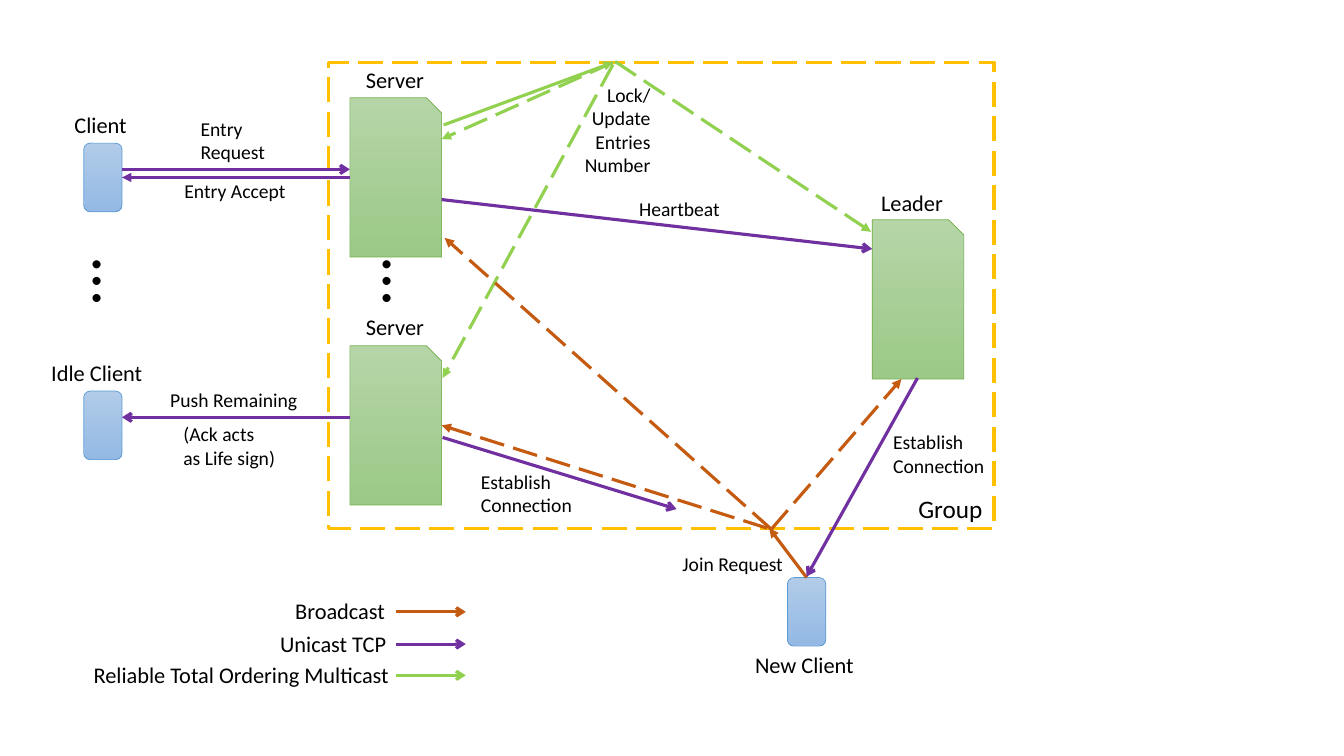
import pptx
import pptx.util
import pptx.dml.color
import pptx.enum.dml
import pptx.enum.shapes
import pptx.enum.text
import pptx.oxml

Inches = pptx.util.Inches
Pt = pptx.util.Pt
SHAPE = pptx.enum.shapes.MSO_SHAPE
ALIGN = pptx.enum.text.PP_ALIGN
LONG_DASH = pptx.enum.dml.MSO_LINE.LONG_DASH
A_NS = 'xmlns:a="http://schemas.openxmlformats.org/drawingml/2006/main"'

BROADCAST, UNICAST, MULTICAST = "C55A11", "7030A0", "92D050"


def rgb(value):
    return pptx.dml.color.RGBColor.from_string(value)


def add_label(text, left, top, width, height, size=14, align=ALIGN.LEFT, wrap=True, rotation=0):
    label = slide.shapes.add_textbox(Inches(left), Inches(top), Inches(width), Inches(height))
    label.rotation = rotation
    frame = label.text_frame
    frame.word_wrap = wrap
    frame.auto_size = pptx.enum.text.MSO_AUTO_SIZE.SHAPE_TO_FIT_TEXT
    frame.text = text
    for paragraph in frame.paragraphs:
        paragraph.alignment = align
        for run in paragraph.runs:
            run.font.name = "Calibri"
            run.font.size = Pt(size)
            run.font.color.rgb = rgb("000000")


presentation = pptx.Presentation()
presentation.slide_width = Inches(13.33)
presentation.slide_height = Inches(7.5)
slide = presentation.slides.add_slide(presentation.slide_layouts[6])

# Clients, servers and leader
client_style = (SHAPE.ROUNDED_RECTANGLE, 0.38, 0.68, "B1CBE9", "93B9E4", "5B9BD5")
server_style = (SHAPE.SNIP_1_RECTANGLE, 0.91, 1.58, "B5D5A7", "9CC987", "70AD47")
nodes = [
    (client_style, 0.83, 1.42), (client_style, 0.83, 3.88), (client_style, 7.81, 5.73),
    (server_style, 3.47, 0.97), (server_style, 3.47, 3.43), (server_style, 8.65, 2.18),
]
for (outline, width, height, top_color, bottom_color, edge), left, top in nodes:
    node = slide.shapes.add_shape(outline, Inches(left), Inches(top), Inches(width), Inches(height))
    node.shadow.inherit = False
    node.fill.gradient()
    node.fill.gradient_angle = 270
    for stop, color in zip(node.fill.gradient_stops, (top_color, bottom_color)):
        stop.color.rgb = rgb(color)
    node.line.color.rgb = rgb(edge)
    node.line.width = Pt(0.5)

# Group frame
group_frame = slide.shapes.add_shape(SHAPE.RECTANGLE, Inches(3.26), Inches(0.62), Inches(6.6), Inches(4.62))
group_frame.shadow.inherit = False
group_frame.fill.background()
group_frame.line.color.rgb = rgb("FFC000")
group_frame.line.width = Pt(2.25)
group_frame.line.dash_style = LONG_DASH

# Messages: start, end, colour, arrowhead, dashed
messages = [
    ((1.21, 1.68), (3.47, 1.68), UNICAST, "arrow", False),
    ((3.47, 1.76), (1.21, 1.76), UNICAST, "triangle", False),
    ((3.47, 4.14), (1.21, 4.14), UNICAST, "arrow", False),
    ((4.40, 1.24), (6.08, 0.62), MULTICAST, "triangle", False),
    ((6.08, 0.64), (4.39, 3.75), MULTICAST, "triangle", True),
    ((6.10, 0.61), (8.64, 2.30), MULTICAST, "triangle", True),
    ((4.38, 1.98), (8.65, 2.47), UNICAST, "arrow", False),
    ((8.00, 5.73), (7.63, 5.24), BROADCAST, "triangle", False),
    ((7.61, 5.24), (4.38, 4.22), BROADCAST, "triangle", True),
    ((7.65, 5.25), (4.41, 2.36), BROADCAST, "triangle", True),
    ((7.65, 5.25), (8.94, 3.76), BROADCAST, "triangle", True),
    ((9.10, 3.75), (8.00, 5.72), UNICAST, "arrow", False),
    ((4.39, 4.34), (6.71, 5.05), UNICAST, "arrow", False),
    ((6.08, 0.62), (4.38, 1.38), MULTICAST, "triangle", True),
]

# Legend
legend = [
    ("Broadcast", 2.83, 1.10, 6.07, BROADCAST),
    ("Unicast TCP", 2.68, 1.27, 6.39, UNICAST),
    ("Reliable Total Ordering Multicast", 0.83, 3.21, 6.70, MULTICAST),
]
for text, left, width, middle, color in legend:
    add_label(text, left, middle - 0.19, width, 0.37, size=16)
    messages.append(((3.93, middle), (4.62, middle), color, "arrow", False))

for start, end, color, arrowhead, dashed in messages:
    message = slide.shapes.add_connector(
        pptx.enum.shapes.MSO_CONNECTOR.STRAIGHT, *(Inches(value) for value in start + end))
    message.line.color.rgb = rgb(color)
    message.line.width = Pt(2.25)
    if dashed:
        message.line.dash_style = LONG_DASH
    message.line._get_or_add_ln().append(pptx.oxml.parse_xml(f'<a:tailEnd {A_NS} type="{arrowhead}"/>'))
    message._element.spPr.append(pptx.oxml.parse_xml(f"<a:effectLst {A_NS}/>"))

# Node names
for text, left, top, width in [
    ("Client", 0.64, 1.05, 0.77),
    ("Idle Client", 0.41, 3.51, 1.22),
    ("New Client", 7.39, 6.41, 1.22),
    ("Leader", 8.64, 1.83, 0.82),
]:
    add_label(text, left, top, width, 0.37, size=16)
for top in (0.61, 3.06):
    add_label("Server", 3.53, top, 0.79, 0.37, size=16, wrap=False)
add_label("Group", 9.01, 4.84, 0.84, 0.4, size=18)

# Vertical ellipses between the nodes
for left in (0.85, 3.73):
    add_label("…", left, 2.35, 0.67, 0.91, size=48, rotation=90)

# Message names
for text, left, top, width, height in [
    ("Entry Request", 1.89, 1.11, 0.91, 0.57),
    ("Entry Accept", 1.73, 1.73, 1.22, 0.34),
    ("Push Remaining", 1.59, 3.80, 1.47, 0.34),
    ("(Ack acts\nas Life sign)", 1.72, 4.14, 1.12, 0.57),
    ("Heartbeat", 6.24, 1.90, 1.01, 0.34),
    ("Join Request", 6.67, 5.43, 1.21, 0.34),
    ("Establish\nConnection", 8.76, 4.22, 1.12, 0.57),
    ("Establish\nConnection", 4.67, 4.61, 1.12, 0.57),
]:
    add_label(text, left, top, width, height)
add_label("Lock/ Update Entries Number", 5.61, 0.77, 0.94, 1.04, align=ALIGN.RIGHT)

presentation.save("out.pptx")
